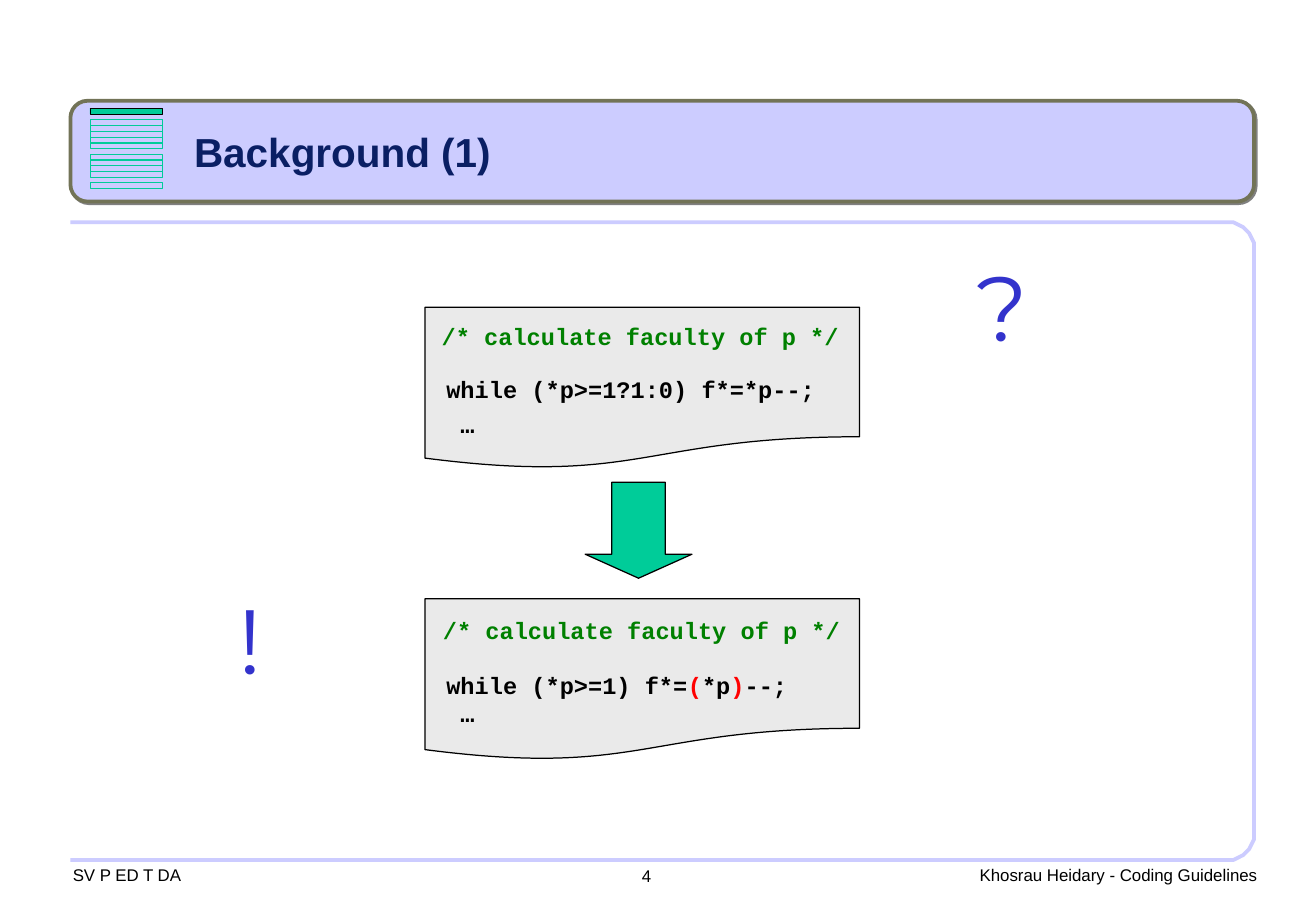
import math
from dataclasses import dataclass

from lxml import etree
from pptx import Presentation, util as u
from pptx.dml.color import RGBColor
from pptx.enum import shapes, text
from pptx.oxml.ns import qn

PX = 9144  # 100 px to the inch


@dataclass(frozen=True)
class Theme:
    lavender: str = "CCCCFF"
    olive: str = "727357"
    shadow: str = "808080"
    green: str = "00CC99"
    paper: str = "EAEAEA"
    black: str = "000000"
    navy: str = "0A1F64"
    comment: str = "008000"
    accent: str = "FF0000"
    mark: str = "3333CC"
    sans: str = "Arial"
    mono: str = "Courier New"
    display: str = "Montserrat"
    footer_size: int = 10
    code_size: int = 14
    title_size: int = 24
    mark_size: int = 54


class SlideBuilder:
    def __init__(self, slide, theme):
        self.items = slide.shapes
        self.theme = theme

    def outline(self, item, fill, line, weight):
        item.shadow.inherit = False
        if fill:
            item.fill.solid()
            item.fill.fore_color.rgb = RGBColor.from_string(fill)
        else:
            item.fill.background()
        item.line.color.rgb = RGBColor.from_string(line)
        item.line.width = u.Pt(weight)

    def shape(self, preset, box, fill, line, weight=0.75, adjust=()):
        item = self.items.add_shape(preset, *(v * PX for v in box))
        self.outline(item, fill, line, weight)
        for index, value in enumerate(adjust):
            item.adjustments[index] = value
        return item

    def drop_shadow(self, item):
        effects = item._element.spPr.find(qn("a:effectLst"))
        shadow = etree.SubElement(effects, qn("a:outerShdw"), dist="17780",
                                  dir="2700000", algn="ctr", rotWithShape="0")
        etree.SubElement(shadow, qn("a:srgbClr"), val=self.theme.shadow)

    def frame(self, left, top, right, bottom, radius):
        """Line open on the left, with rounded corners on the right."""
        angles = [math.radians(a) for a in range(0, 91, 6)]
        upper = [(right - radius + radius * math.sin(a),
                  top + radius - radius * math.cos(a)) for a in angles]
        lower = [(x, top + bottom - y) for x, y in reversed(upper)]
        builder = self.items.build_freeform(left, top, scale=PX)
        builder.add_line_segments(upper + lower + [(left, bottom)], close=False)
        self.outline(builder.convert_to_shape(), None, self.theme.lavender, 2.25)

    def fill_text(self, item, paragraphs, font, size, bold=False, insets=(10, 5),
                  align=text.PP_ALIGN.LEFT, gap=0):
        """Each paragraph is a list of (words, colour); a line feed breaks the line."""
        frame = item.text_frame
        frame.word_wrap = True
        frame.vertical_anchor = text.MSO_ANCHOR.TOP
        frame.margin_left = frame.margin_right = insets[0] * PX
        frame.margin_top, frame.margin_bottom = insets[1] * PX, 0
        for index, runs in enumerate(paragraphs):
            paragraph = frame.paragraphs[0] if index == 0 else frame.add_paragraph()
            paragraph.alignment = align
            paragraph.space_after = u.Pt(gap)
            for words, colour in runs:
                if words == "\n":
                    paragraph.add_line_break()
                    continue
                run = paragraph.add_run()
                run.text = words
                run.font.name = font
                run.font.size = u.Pt(size)
                run.font.bold = bold
                run.font.color.rgb = RGBColor.from_string(colour)

    def label(self, box, words, colour, font, size, **style):
        item = self.items.add_textbox(*(v * PX for v in box))
        self.fill_text(item, [[(words, colour)]], font, size, **style)

    def footer(self, box, words, insets=(0, 4)):
        self.label(box, words, self.theme.black, self.theme.sans,
                   self.theme.footer_size, insets=insets)

    def mark(self, box, sign):
        self.label(box, sign, self.theme.mark, self.theme.display,
                   self.theme.mark_size, align=text.PP_ALIGN.CENTER)

    def code_card(self, top, code_top, code, comment_at):
        t = self.theme
        card = self.shape(shapes.MSO_SHAPE.FLOWCHART_DOCUMENT,
                          (350, top, 358, 133), t.paper, t.black)
        self.fill_text(card, code, t.mono, t.code_size, bold=True,
                       insets=(6, code_top), gap=3.5)
        self.label((*comment_at, 360, 34), "/* calculate faculty of p */",
                   t.comment, t.mono, t.code_size, bold=True)

    def progress_bars(self):
        t = self.theme
        current, upcoming = 0, (2, 3, 4, 5, 6, 8, 9, 10, 11, 13)
        for slot in (current, *upcoming):
            done = slot == current
            self.shape(shapes.MSO_SHAPE.RECTANGLE,
                       (74, 89 + round(4.7 * slot), 60, 5),
                       t.green if done else None,
                       t.black if done else t.green, 0.25)


def main():
    theme = Theme()
    deck = Presentation()
    deck.slide_width, deck.slide_height = 1084 * PX, 750 * PX
    page = SlideBuilder(deck.slides.add_slide(deck.slide_layouts[6]), theme)

    page.footer((60, 708, 206, 25), "SV P ED T DA")
    page.footer((807, 708, 249, 25), "Khosrau Heidary - Coding Guidelines")
    page.footer((519, 708, 83, 27), "4", insets=(10, 5))

    page.frame(58, 183, 1033, 708, radius=22)
    banner = page.shape(shapes.MSO_SHAPE.ROUNDED_RECTANGLE, (58, 83, 975, 83),
                        theme.lavender, theme.olive, 2.25, adjust=[0.17])
    page.drop_shadow(banner)
    page.progress_bars()
    page.label((150, 100, 300, 50), "Background (1)", theme.navy, theme.sans,
               theme.title_size, bold=True)

    black, accent = theme.black, theme.accent
    unclear_code = [[(" while (*p>=1?1:0) f*=*p--;", black)], [("  …", black)]]
    clear_code = [[(" while (*p>=1) f*=", black), ("(", accent), ("*p", black),
                   (")", accent), ("--;", black), ("\n", black), ("  …", black)]]
    page.code_card(253, 56, unclear_code, comment_at=(354, 260))
    page.code_card(493, 59, clear_code, comment_at=(355, 502))
    page.shape(shapes.MSO_SHAPE.DOWN_ARROW, (482, 397, 88, 79),
               theme.green, black, adjust=[0.5, 0.25])
    page.mark((766, 201, 119, 158), "?")
    page.mark((185, 475, 43, 158), "!")

    deck.save("out.pptx")


if __name__ == "__main__":
    main()
